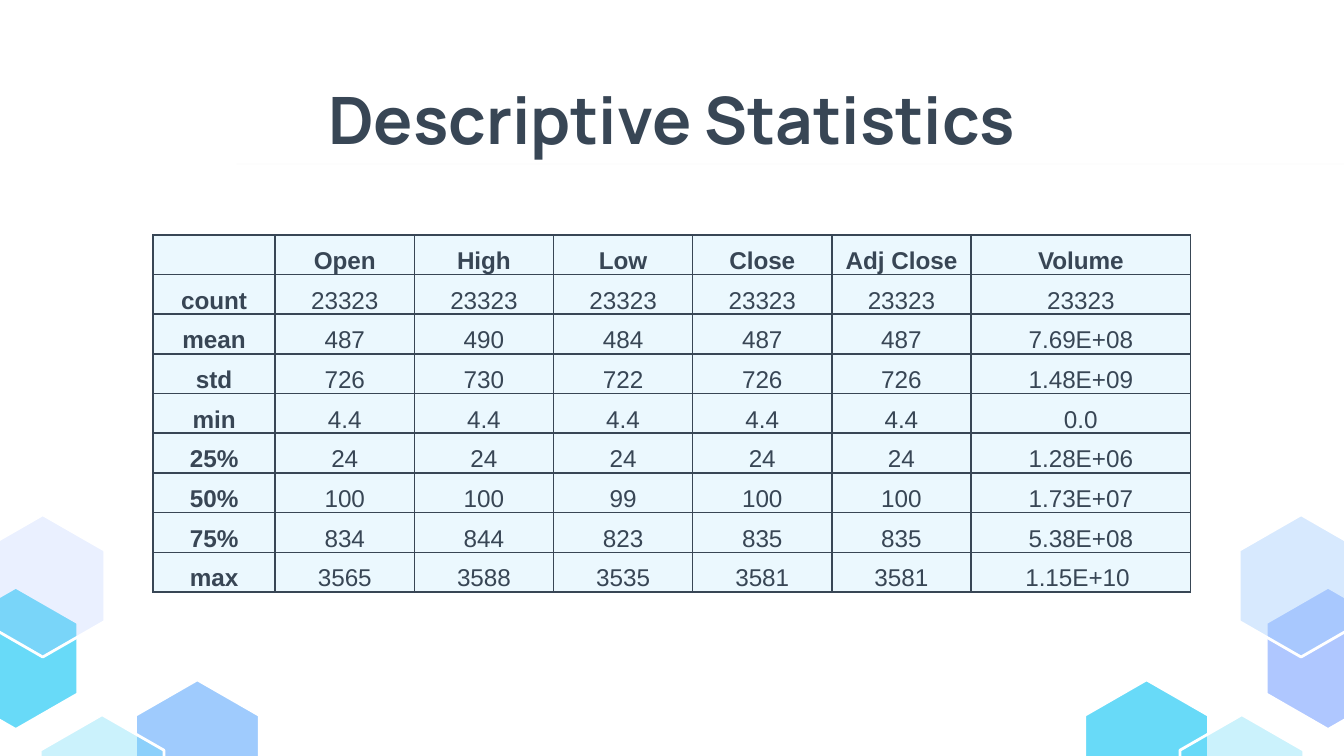
from lxml.etree import SubElement
from pptx import Presentation
from pptx.dml.color import RGBColor
from pptx.enum.shapes import MSO_SHAPE
from pptx.enum.text import MSO_ANCHOR, MSO_AUTO_SIZE, PP_ALIGN
from pptx.oxml import parse_xml
from pptx.oxml.ns import nsdecls, qn
from pptx.util import Cm, Pt

INK = RGBColor(0x38, 0x46, 0x55)
PALE = RGBColor(0xEB, 0xF8, 0xFE)
GREY = RGBColor(0xF5, 0xF5, 0xF5)
WHITE = RGBColor(0xFF, 0xFF, 0xFF)
CYAN = RGBColor(0x68, 0xDA, 0xF8)
BLUE = RGBColor(0x9F, 0xCB, 0xFD)
LILAC = RGBColor(0xAF, 0xC7, 0xFF)

WIDE = 25.4
HEX_W, HEX_H = 2.34, 2.69


def add_text(para, text, font, size, bold):
    para.alignment = PP_ALIGN.CENTER
    run = para.add_run()
    run.text = text
    run.font.name = font
    run.font.size = Pt(size)
    run.font.bold = bold
    run.font.color.rgb = INK


def add_hex(mid, top, color, alpha):
    left, right = mid - HEX_W / 2, mid + HEX_W / 2
    high, low = top + HEX_H / 4, top + HEX_H * 3 / 4
    points = [(right, high), (right, low), (mid, top + HEX_H), (left, low), (left, high)]
    pen = slide.shapes.build_freeform(Cm(mid), Cm(top))
    pen.add_line_segments([(Cm(x), Cm(y)) for x, y in points], close=True)
    shape = pen.convert_to_shape()
    shape.shadow.inherit = False
    shape.fill.solid()
    shape.fill.fore_color.rgb = color
    shape.line.color.rgb = WHITE
    shape.line.width = Pt(1.5)
    if alpha < 100:
        tone = shape.fill._xPr.find(qn("a:solidFill"))[0]
        SubElement(tone, qn("a:alpha"), val=str(alpha * 1000))


deck = Presentation()
deck.slide_width, deck.slide_height = Cm(WIDE), Cm(14.29)
slide = deck.slides.add_slide(deck.slide_layouts[5])

title = slide.shapes.title
title.left, title.top, title.width, title.height = Cm(2), Cm(1.25), Cm(21.4), Cm(1.6)
frame = title.text_frame
frame.word_wrap = True
frame.auto_size = MSO_AUTO_SIZE.NONE
frame.vertical_anchor = MSO_ANCHOR.TOP
frame.margin_left = frame.margin_right = Cm(0.25)
frame.margin_top = frame.margin_bottom = Cm(0.25)
add_text(frame.paragraphs[0], "Descriptive Statistics", "Manrope", 35, True)

hexes = [
    (3.73, 12.85, BLUE, 100, CYAN, 100),
    (1.93, 13.51, CYAN, 34, CYAN, 34),
    (0.3, 11.1, CYAN, 100, LILAC, 100),
    (0.81, 9.73, LILAC, 25, BLUE, 41),
]
for mid, top, color, alpha, twin, fade in hexes:
    add_hex(mid, top, color, alpha)
    add_hex(WIDE - mid, top, twin, fade)

rule = slide.shapes.add_shape(MSO_SHAPE.RECTANGLE, Cm(4.47), Cm(3.1), Cm(25.4), Cm(0))
rule.shadow.inherit = False
rule.fill.solid()
rule.fill.fore_color.rgb = GREY
rule.line.fill.background()

rows = [
    ["", "Open", "High", "Low", "Close", "Adj Close", "Volume"],
    ["count"] + ["23323"] * 6,
    ["mean", "487", "490", "484", "487", "487", "7.69E+08"],
    ["std", "726", "730", "722", "726", "726", "1.48E+09"],
    ["min"] + ["4.4"] * 5 + ["0.0"],
    ["25%"] + ["24"] * 5 + ["1.28E+06"],
    ["50%", "100", "100", "99", "100", "100", "1.73E+07"],
    ["75%", "834", "844", "823", "835", "835", "5.38E+08"],
    ["max", "3565", "3588", "3535", "3581", "3581", "1.15E+10 "],
]
widths = [2.31] + [2.63] * 5 + [4.15]
table = slide.shapes.add_table(
    len(rows), len(widths), Cm(2.89), Cm(4.44), Cm(sum(widths)), Cm(0.75 * len(rows))
).table
table.first_row = table.horz_banding = False
for col, width in zip(table.columns, widths):
    col.width = Cm(width)

for i, row in enumerate(rows):
    table.rows[i].height = Cm(0.75)
    for j, text in enumerate(row):
        cell = table.cell(i, j)
        cell.vertical_anchor = MSO_ANCHOR.BOTTOM
        cell.margin_left = cell.margin_right = cell.margin_top = Cm(0.02)
        cell.margin_bottom = Cm(0)
        props = cell._tc.get_or_add_tcPr()
        for side in "LRTB":
            props.append(parse_xml(
                f'<a:ln{side} {nsdecls("a")} w="{Pt(1)}"><a:solidFill>'
                f'<a:srgbClr val="{INK}"/></a:solidFill></a:ln{side}>'
            ))
        cell.fill.solid()
        cell.fill.fore_color.rgb = PALE
        add_text(cell.text_frame.paragraphs[0], text, "Arial", 13, i == 0 or j == 0)

deck.save("out.pptx")
